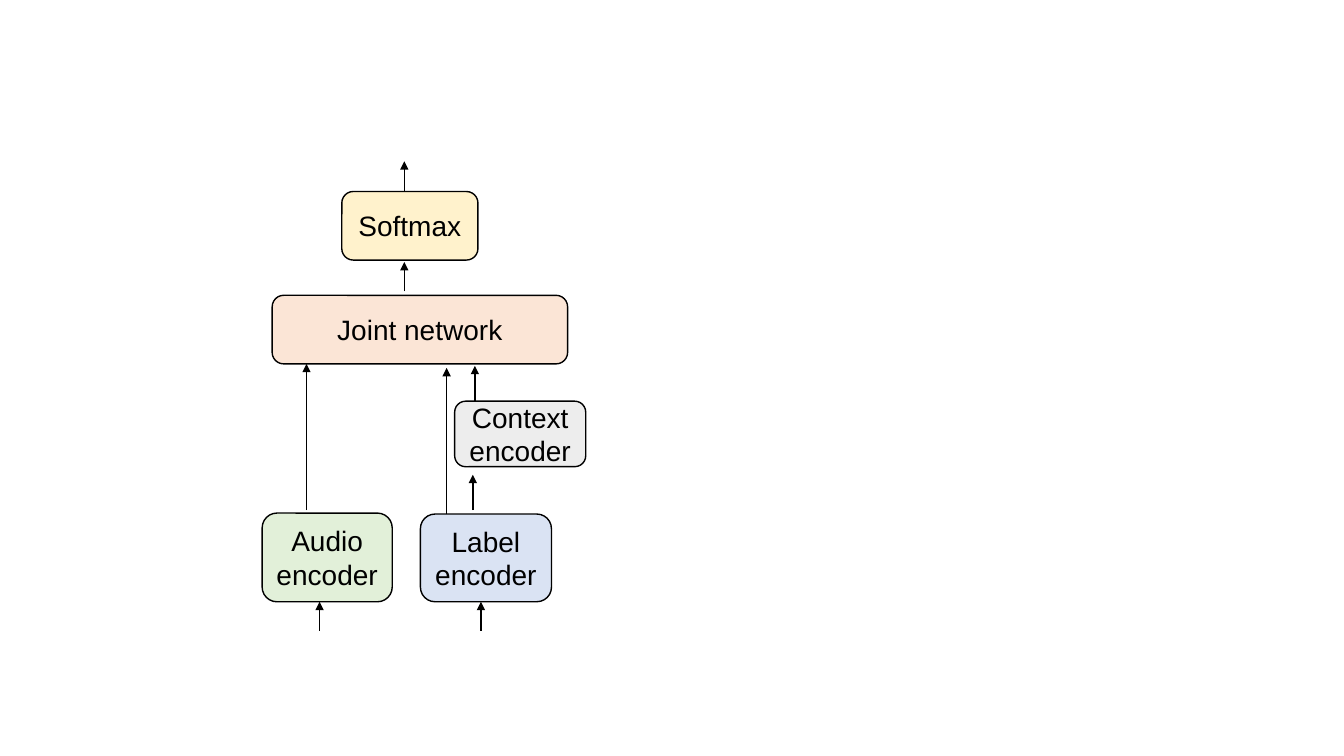
from lxml import etree
from pptx import Presentation
from pptx.dml.color import RGBColor
from pptx.enum.shapes import MSO_CONNECTOR, MSO_SHAPE
from pptx.enum.text import MSO_ANCHOR, PP_ALIGN
from pptx.oxml.ns import qn
from pptx.util import Inches, Pt

BLACK = RGBColor(0x00, 0x00, 0x00)
GREEN = RGBColor(0xE2, 0xF0, 0xD9)
BLUE = RGBColor(0xDA, 0xE3, 0xF3)
ORANGE = RGBColor(0xFB, 0xE5, 0xD6)
YELLOW = RGBColor(0xFF, 0xF2, 0xCC)
GRAY = RGBColor(0xED, 0xED, 0xED)

CELL = Inches(0.1)
DIAGRAM_ORIGIN = (26, 16)  # column and row on the slide grid

# text, fill, column, row, columns wide, rows high (within the diagram)
BLOCKS = [
    ("Audio encoder", GREEN, 0, 34.9, 12.9, 8.8),
    ("Label encoder", BLUE, 15.7, 35, 13, 8.7),
    ("Joint network", ORANGE, 1, 13.3, 29.3, 6.8),
    ("Softmax", YELLOW, 7.9, 3, 13.5, 6.8),
    ("Context\nencoder", GRAY, 19.1, 23.8, 13, 6.5),
]

# column, starting row, ending row; every arrow points up
ARROWS = [
    (5.7, 46.6, 43.7),   # into the audio encoder
    (21.7, 46.6, 43.7),  # into the label encoder
    (4.4, 34.6, 20.1),   # audio encoder to joint network
    (18.3, 35, 20.5),    # label encoder to joint network
    (20.9, 34.6, 31.1),  # label encoder to context encoder
    (21.1, 23.8, 20.3),  # context encoder to joint network
    (14.1, 12.9, 10),    # joint network to softmax
    (14.1, 3, 0),        # out of softmax
]


def cells(count):
    return round(count * CELL)


def add_block(slide, text, fill, left, top, width, height):
    block = slide.shapes.add_shape(
        MSO_SHAPE.ROUNDED_RECTANGLE, cells(left), cells(top), cells(width), cells(height))
    block.shadow.inherit = False
    block.fill.solid()
    block.fill.fore_color.rgb = fill
    block.line.color.rgb = BLACK
    block.line.width = Pt(1)

    frame = block.text_frame
    frame.text = text
    frame.word_wrap = True
    frame.vertical_anchor = MSO_ANCHOR.MIDDLE
    frame.margin_left = frame.margin_right = Inches(0.05)
    for para in frame.paragraphs:
        para.alignment = PP_ALIGN.CENTER
        for span in para.runs:
            span.font.name = "Arial"
            span.font.size = Pt(20)
            span.font.color.rgb = BLACK


def add_up_arrow(slide, column, start_row, end_row):
    arrow = slide.shapes.add_connector(
        MSO_CONNECTOR.STRAIGHT,
        cells(column), cells(start_row), cells(column), cells(end_row))
    arrow.line.color.rgb = BLACK
    arrow.line.width = Pt(1)
    etree.SubElement(arrow.line._get_or_add_ln(), qn("a:tailEnd"), type="triangle")
    etree.SubElement(arrow._element.spPr, qn("a:effectLst"))


def add_network_diagram(slide, origin):
    """Place all blocks and arrows relative to the diagram's top left cell."""
    left, top = origin
    for text, fill, column, row, width, height in BLOCKS:
        add_block(slide, text, fill, left + column, top + row, width, height)
    for column, start_row, end_row in ARROWS:
        add_up_arrow(slide, left + column, top + start_row, top + end_row)


def main():
    deck = Presentation()
    deck.slide_width = Inches(13.33)
    deck.slide_height = Inches(7.5)
    page = deck.slides.add_slide(deck.slide_layouts[6])
    add_network_diagram(page, DIAGRAM_ORIGIN)
    deck.save("out.pptx")


if __name__ == "__main__":
    main()
